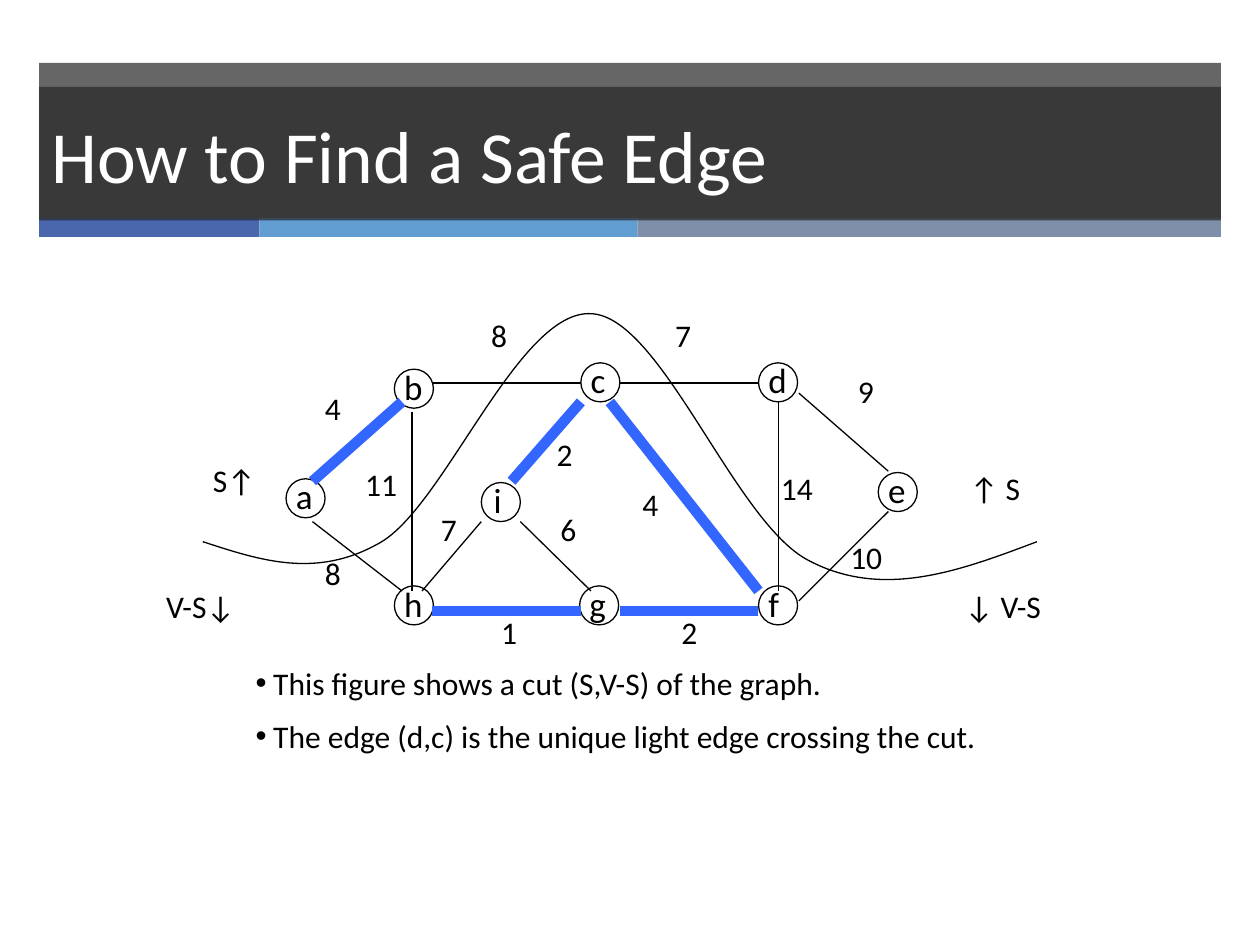
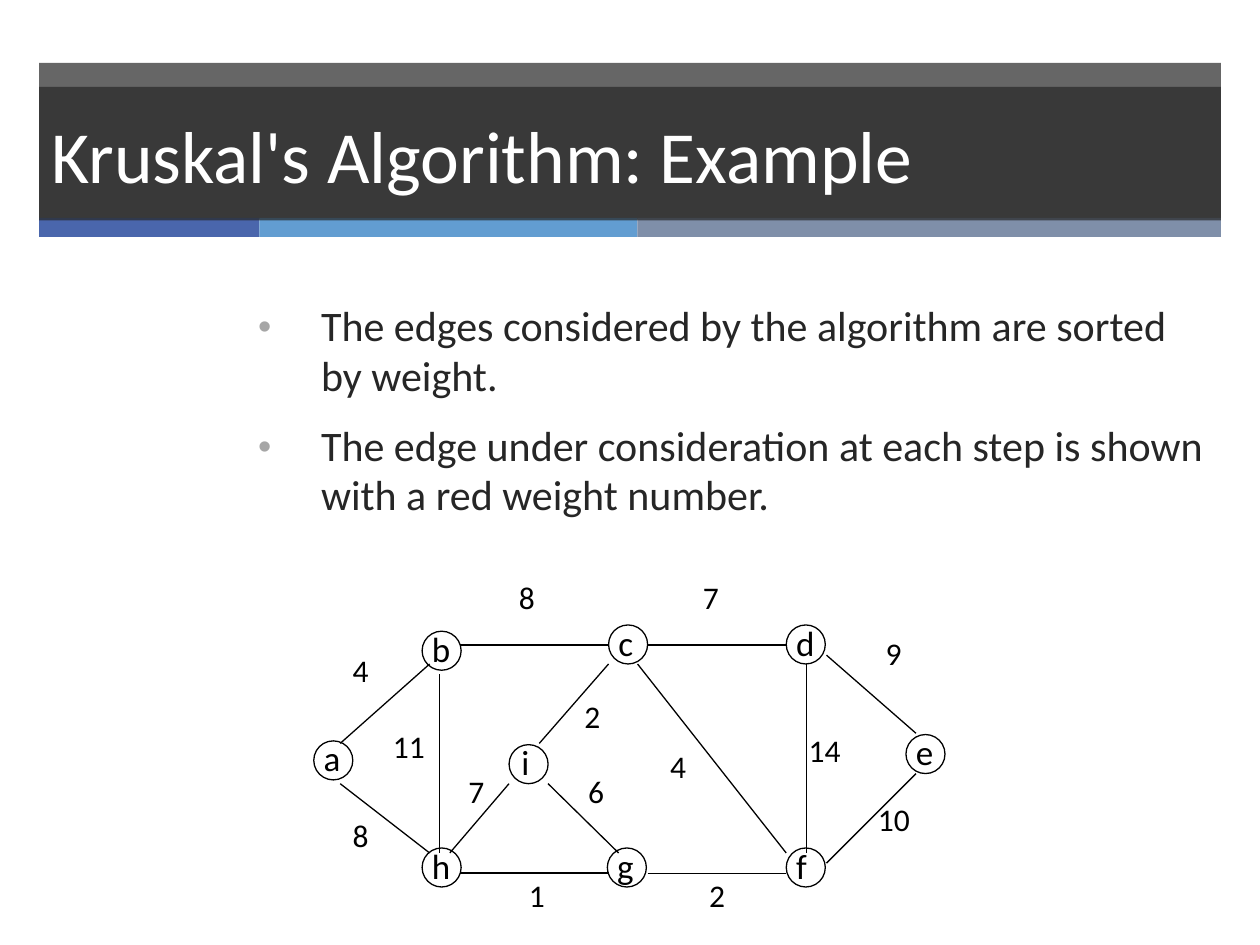
from pptx import Presentation
from pptx.dml.color import RGBColor
from pptx.enum import shapes, text
from pptx.oxml import ns
from pptx.util import Inches, Pt
from lxml import etree

FONT = "Calibri"
BLACK, WHITE, DARK, GREY = "000000", "FFFFFF", "262626", "A6A6A6"
THIN = (BLACK, 0.75)
THICK = ("3366FF", 6)
STRIPES = [("4A66AC", 1.75), ("629DD1", 3), ("7F8FA9", 4.63)]
BAND_LEFT, BAND_WIDTH = 0.31, 9.38

# Circle positions: left, top
NODE_SIZE = 0.31
NODES = {
    "a": (2.27, 3.8), "b": (3.13, 2.93), "h": (3.13, 4.65),
    "c": (4.61, 2.88), "d": (6.02, 2.88), "e": (6.97, 3.75),
    "f": (6.02, 4.65), "g": (4.6, 4.65), "i": (3.82, 3.83),
}
# Edge: start, end, weight, position of the weight
EDGES = {
    "ab": ((2.48, 3.82), (3.19, 3.19), "4", (2.48, 3.04)),
    "ah": ((2.48, 4.14), (3.19, 4.69), "8", (2.48, 4.35)),
    "bh": ((3.27, 3.27), (3.27, 4.69), "11", (2.8, 3.64)),
    "bc": ((3.43, 3.04), (4.61, 3.04), "8", (3.8, 2.46)),
    "hg": ((3.43, 4.85), (4.61, 4.85), "1", (3.88, 4.82)),
    "gf": ((4.92, 4.85), (6.02, 4.85), "2", (5.31, 4.82)),
    "cf": ((4.84, 3.19), (6.02, 4.69), "4", (5, 3.8)),
    "cd": ((4.92, 3.04), (6.02, 3.04), "7", (5.26, 2.46)),
    "df": ((6.18, 3.19), (6.18, 4.69), "14", (6.1, 3.67)),
    "de": ((6.34, 3.12), (7.05, 3.74), "9", (6.71, 2.9)),
    "fe": ((6.34, 4.77), (7.05, 4.06), "10", (6.65, 4.22)),
    "ig": ((4.13, 4.14), (4.69, 4.69), "6", (4.35, 4)),
    "hi": ((3.35, 4.69), (3.82, 4.14), "7", (3.4, 4)),
    "ic": ((4.06, 3.82), (4.61, 3.19), "2", (4.32, 3.4)),
}
# Start of the cut line, then three points for each curve
CUT = [(1.61, 4.3),
       (2.07, 4.45), (2.52, 4.6), (3.03, 4.3),
       (3.54, 3.99), (4.12, 2.46), (4.69, 2.49),
       (5.25, 2.51), (5.83, 4.15), (6.42, 4.45),
       (7.01, 4.76), (7.62, 4.53), (8.23, 4.3)]
CUT_LABELS = [("S↑", 1.59, 3.61, 0.72), ("V-S↓", 1.22, 4.61, 1.07),
              ("↑ S", 7.6, 3.67, 0.64), ("↓ V-S", 7.56, 4.61, 0.99)]


def color(value):
    return RGBColor.from_string(value)


class SlideBuilder:
    def __init__(self, deck):
        self.deck = deck
        self.page = None

    def start(self, title):
        """Add a slide with the bands and the title."""
        self.page = self.deck.slides.add_slide(self.deck.slide_layouts[5])
        self.rectangle(BAND_LEFT, 0.5, BAND_WIDTH, 1.24, DARK, 70)
        left = BAND_LEFT
        for fill, width in STRIPES:
            self.rectangle(left, 1.73, width, 0.15, fill)
            left += width

        box = self.page.shapes.title
        box._element.getparent().append(box._element)  # bring to front
        box.left, box.top = Inches(BAND_LEFT), Inches(0.69)
        box.width, box.height = Inches(BAND_WIDTH), Inches(1.06)
        self.fill(box, DARK, 70)
        frame = box.text_frame
        frame.auto_size = text.MSO_AUTO_SIZE.NONE
        frame.vertical_anchor = text.MSO_ANCHOR.MIDDLE
        frame.text = title
        para = frame.paragraphs[0]
        para.alignment = text.PP_ALIGN.LEFT
        self.font(para, 42, WHITE)

    def fill(self, shape, value, opacity=100):
        shape.fill.solid()
        shape.fill.fore_color.rgb = color(value)
        if opacity < 100:
            tone = shape._element.spPr.find(".//" + ns.qn("a:srgbClr"))
            etree.SubElement(tone, ns.qn("a:alpha"), val=str(opacity * 1000))

    def font(self, para, size, value):
        para.font.name = FONT
        para.font.size = Pt(size)
        para.font.color.rgb = color(value)

    def pen(self, shape, style):
        shape.line.color.rgb = color(style[0])
        shape.line.width = Pt(style[1])

    def rectangle(self, left, top, width, height, value, opacity=100):
        box = self.page.shapes.add_shape(
            shapes.MSO_SHAPE.RECTANGLE, Inches(left), Inches(top),
            Inches(width), Inches(height))
        box.shadow.inherit = False
        box.line.fill.background()
        self.fill(box, value, opacity)

    def label(self, words, left, top, width, height=0.5, size=18):
        box = self.page.shapes.add_textbox(
            Inches(left), Inches(top), Inches(width), Inches(height))
        frame = box.text_frame
        frame.word_wrap = False
        frame.auto_size = text.MSO_AUTO_SIZE.SHAPE_TO_FIT_TEXT
        frame.text = words
        self.font(frame.paragraphs[0], size, BLACK)

    def node(self, name, left, top):
        nudge = 0 if name == "i" else 0.02
        self.label(name, left - nudge, top - 0.08, 0.33, 0.43, 20)
        circle = self.page.shapes.add_shape(
            shapes.MSO_SHAPE.OVAL, Inches(left), Inches(top),
            Inches(NODE_SIZE), Inches(NODE_SIZE))
        circle.shadow.inherit = False
        circle.fill.background()
        self.pen(circle, THIN)

    def edge(self, start, end, style):
        line = self.page.shapes.add_connector(
            shapes.MSO_CONNECTOR.STRAIGHT,
            *(Inches(value) for value in (*start, *end)))
        self.pen(line, style)
        etree.SubElement(line._element.spPr, ns.qn("a:effectLst"))

    def graph(self, right=0, down=0, styles=None):
        """Draw the graph, moved by the given distances."""
        def moved(point):
            return point[0] + right, point[1] + down

        for name, place in NODES.items():
            self.node(name, *moved(place))
        for name, (start, end, _, _) in EDGES.items():
            style = (styles or {}).get(name, THIN)
            self.edge(moved(start), moved(end), style)
        for _, _, weight, place in EDGES.values():
            self.label(weight, *moved(place), 0.37 if len(weight) == 1 else 0.53)

    def curve(self, points):
        """Draw a smooth open line of cubic curves."""
        builder = self.page.shapes.build_freeform(
            *(Inches(value) for value in points[0]))
        builder.add_line_segments(
            [(Inches(x), Inches(y)) for x, y in points[1:]], close=False)
        line = builder.convert_to_shape()
        line.shadow.inherit = False
        line.fill.background()
        self.pen(line, THIN)
        outline = line._element.spPr.find(".//" + ns.qn("a:path"))
        segments = outline.findall(ns.qn("a:lnTo"))
        for first in range(0, len(segments), 3):
            bezier = etree.SubElement(outline, ns.qn("a:cubicBezTo"))
            for segment in segments[first:first + 3]:
                bezier.append(segment[0])
                outline.remove(segment)

    def bullets(self, items, place, size, value, indent, gap,
                marker=None, spacing=1.0):
        box = self.page.shapes.add_textbox(*(Inches(part) for part in place))
        frame = box.text_frame
        frame.word_wrap = True
        for number, item in enumerate(items):
            para = frame.add_paragraph() if number else frame.paragraphs[0]
            para.text = item
            para.line_spacing = spacing
            if number:
                para.space_before = Pt(gap)
            props = para._p.get_or_add_pPr()
            props.set("marL", str(Inches(indent)))
            props.set("indent", str(-Inches(indent)))
            if marker:
                tint = etree.SubElement(props, ns.qn("a:buClr"))
                etree.SubElement(tint, ns.qn("a:srgbClr"), val=marker)
                etree.SubElement(props, ns.qn("a:buSzPct"), val="90000")
            etree.SubElement(props, ns.qn("a:buFont"), typeface="Arial")
            etree.SubElement(props, ns.qn("a:buChar"), char="•")
            self.font(para, size, value)


def main():
    deck = Presentation()
    deck.slide_width, deck.slide_height = Inches(10), Inches(7.5)
    slide = SlideBuilder(deck)

    # Safe edge: graph with a cut
    slide.start("How to Find a Safe Edge")
    slide.graph(styles=dict.fromkeys(("ab", "hg", "gf", "cf", "ic"), THICK))
    slide.curve(CUT)
    for words, left, top, width in CUT_LABELS:
        slide.label(words, left, top, width)
    slide.bullets(
        ["This figure shows a cut (S,V-S) of the graph.",
         "The edge (d,c) is the unique light edge crossing the cut."],
        (1.93, 5.22, 6.38, 1.5), 18, BLACK, indent=0.14, gap=8.5)

    # Kruskal: explanation above the plain graph
    slide.start("Kruskal's Algorithm: Example")
    slide.bullets(
        ["The edges considered by the algorithm are sorted by weight.",
         "The edge under consideration at each step is shown with a red "
         "weight number."],
        (1.95, 2.35, 7.74, 4.37), 24, DARK, indent=0.5, gap=12,
        marker=GREY, spacing=0.98)
    slide.graph(right=0.22, down=2.08, styles={"hg": (BLACK, 1)})

    deck.save("out.pptx")


if __name__ == "__main__":
    main()
